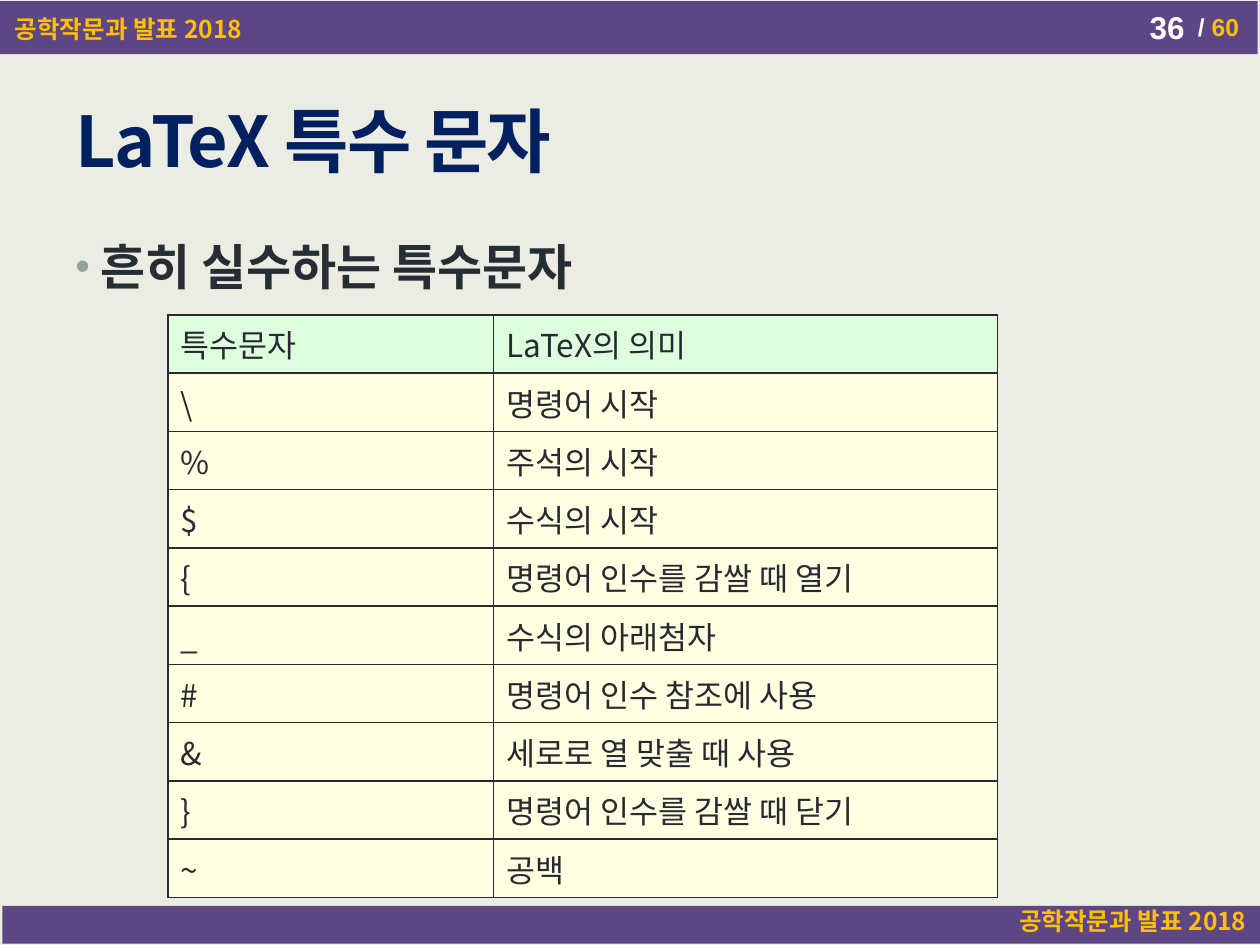
"""Builds a slide with a table of LaTeX special characters."""
from lxml.etree import SubElement
from pptx import Presentation
from pptx.dml.color import RGBColor
from pptx.enum.shapes import MSO_SHAPE
from pptx.enum.text import MSO_ANCHOR, MSO_AUTO_SIZE, PP_ALIGN
from pptx.oxml.ns import qn
from pptx.util import Pt

BACKGROUND = RGBColor(0xEB, 0xED, 0xE3)
PURPLE = RGBColor(0x5E, 0x45, 0x83)
GOLD = RGBColor(0xFF, 0xC0, 0x00)
WHITE = RGBColor(0xFF, 0xFF, 0xFF)
NAVY = RGBColor(0x00, 0x20, 0x60)
SLATE = RGBColor(0x26, 0x2D, 0x35)
INK = RGBColor(0x29, 0x29, 0x34)
BULLET = RGBColor(0x93, 0xA2, 0x99)
MINT = RGBColor(0xDD, 0xFF, 0xDD)
CREAM = RGBColor(0xFF, 0xFF, 0xE1)
KOREAN = "Noto Sans CJK KR"

TITLE = "LaTeX 특수 문자"
HEADING = "흔히 실수하는 특수문자"
COURSE = "공학작문과 발표 2018"
ROWS = [
    ("특수문자", "LaTeX의 의미"),
    ("\\", "명령어 시작"),
    ("%", "주석의 시작"),
    ("$", "수식의 시작"),
    ("{", "명령어 인수를 감쌀 때 열기"),
    ("_", "수식의 아래첨자"),
    ("#", "명령어 인수 참조에 사용"),
    ("&", "세로로 열 맞출 때 사용"),
    ("}", "명령어 인수를 감쌀 때 닫기"),
    ("~", "공백"),
]
COLUMN_WIDTHS = (186, 288)
ROW_HEIGHT = 33.3
TABLE_LEFT, TABLE_TOP = 96, 180

BARS = [(0, 0.7, 718.6, 30.2), (1.4, 517.7, 718.6, 21.6)]
COURSE_STYLE = {"size": Pt(14), "name": KOREAN, "bold": True}
COUNT_STYLE = {"size": Pt(14), "name": "Arial", "bold": True}
NUMBER_STYLE = {"size": Pt(18), "name": "Arial", "bold": True}
TITLE_STYLE = {"size": Pt(40), "name": KOREAN, "bold": True}
HEADING_STYLE = {"size": Pt(28), "name": KOREAN, "bold": True}
CELL_STYLE = {"size": Pt(18), "name": KOREAN, "bold": False}
LABELS = [
    ((677.5, 3.6, 62.6, 24.5), MSO_ANCHOR.TOP, PP_ALIGN.LEFT, COUNT_STYLE,
     [("/ ", WHITE), ("60", GOLD)]),
    ((1.4, 4.3, 181.4, 24.5), MSO_ANCHOR.TOP, PP_ALIGN.LEFT, COURSE_STYLE,
     [(COURSE, GOLD)]),
    ((575.3, 513.4, 238.3, 25.9), MSO_ANCHOR.MIDDLE, PP_ALIGN.LEFT, COURSE_STYLE,
     [(COURSE, GOLD)]),
    ((640.8, 2.2, 43.2, 25.9), MSO_ANCHOR.MIDDLE, PP_ALIGN.RIGHT, NUMBER_STYLE,
     [("36", WHITE)]),
]


def points(values):
    return [Pt(value) for value in values]


def write(paragraph, text, style, color):
    run = paragraph.add_run()
    run.text = text
    for name, value in style.items():
        setattr(run.font, name, value)
    run.font.color.rgb = color
    properties = run.font._element
    SubElement(properties, qn("a:ea"), typeface=style["name"])
    return properties


def add_label(slide, box, anchor, alignment, style, runs):
    frame = slide.shapes.add_textbox(*points(box)).text_frame
    frame.word_wrap = True
    frame.vertical_anchor = anchor
    paragraph = frame.paragraphs[0]
    paragraph.alignment = alignment
    for text, color in runs:
        write(paragraph, text, style, color)
    return paragraph


def add_bar(slide, box):
    shape = slide.shapes.add_shape(MSO_SHAPE.RECTANGLE, *points(box))
    shape.shadow.inherit = False
    shape.fill.solid()
    shape.fill.fore_color.rgb = PURPLE
    shape.line.fill.background()


def add_title(slide):
    title = slide.shapes.title
    title.left, title.top, title.width, title.height = points((36, 41, 648, 77.8))
    frame = title.text_frame
    frame.auto_size = MSO_AUTO_SIZE.NONE
    frame.vertical_anchor = MSO_ANCHOR.MIDDLE
    paragraph = frame.paragraphs[0]
    paragraph.alignment = PP_ALIGN.LEFT
    write(paragraph, TITLE, TITLE_STYLE, NAVY).set("spc", "-100")


def add_bullet(paragraph):
    properties = paragraph._p.get_or_add_pPr()
    properties.set("marL", str(Pt(14.4)))
    properties.set("indent", str(-Pt(14.4)))
    color = SubElement(properties, qn("a:buClr"))
    SubElement(color, qn("a:srgbClr"), val=str(BULLET))
    SubElement(properties, qn("a:buSzPct"), val="85000")
    SubElement(properties, qn("a:buFont"), typeface="Arial")
    SubElement(properties, qn("a:buChar"), char="•")


def format_cell(cell, color):
    properties = cell._tc.get_or_add_tcPr()
    for side in ("lnL", "lnR", "lnT", "lnB"):
        line = SubElement(properties, qn(f"a:{side}"), w=str(Pt(1)))
        fill = SubElement(line, qn("a:solidFill"))
        SubElement(fill, qn("a:srgbClr"), val=str(INK))
    cell.fill.solid()
    cell.fill.fore_color.rgb = color


def add_character_table(slide):
    box = (TABLE_LEFT, TABLE_TOP, sum(COLUMN_WIDTHS), ROW_HEIGHT * len(ROWS))
    table = slide.shapes.add_table(len(ROWS), len(COLUMN_WIDTHS), *points(box)).table
    for column, width in zip(table.columns, COLUMN_WIDTHS):
        column.width = Pt(width)
    for row_index, texts in enumerate(ROWS):
        table.rows[row_index].height = Pt(ROW_HEIGHT)
        for column_index, text in enumerate(texts):
            cell = table.cell(row_index, column_index)
            format_cell(cell, CREAM if row_index else MINT)
            write(cell.text_frame.paragraphs[0], text, CELL_STYLE, INK)


def main():
    presentation = Presentation()
    presentation.slide_width, presentation.slide_height = Pt(720), Pt(540)
    slide = presentation.slides.add_slide(presentation.slide_layouts[5])
    slide.background.fill.solid()
    slide.background.fill.fore_color.rgb = BACKGROUND
    for box in BARS:
        add_bar(slide, box)
    for label in LABELS:
        add_label(slide, *label)
    add_title(slide)
    heading = add_label(slide, (36, 131.8, 648, 383.8), MSO_ANCHOR.TOP,
                        PP_ALIGN.LEFT, HEADING_STYLE, [(HEADING, SLATE)])
    add_bullet(heading)
    add_character_table(slide)
    presentation.save("out.pptx")


if __name__ == "__main__":
    main()
